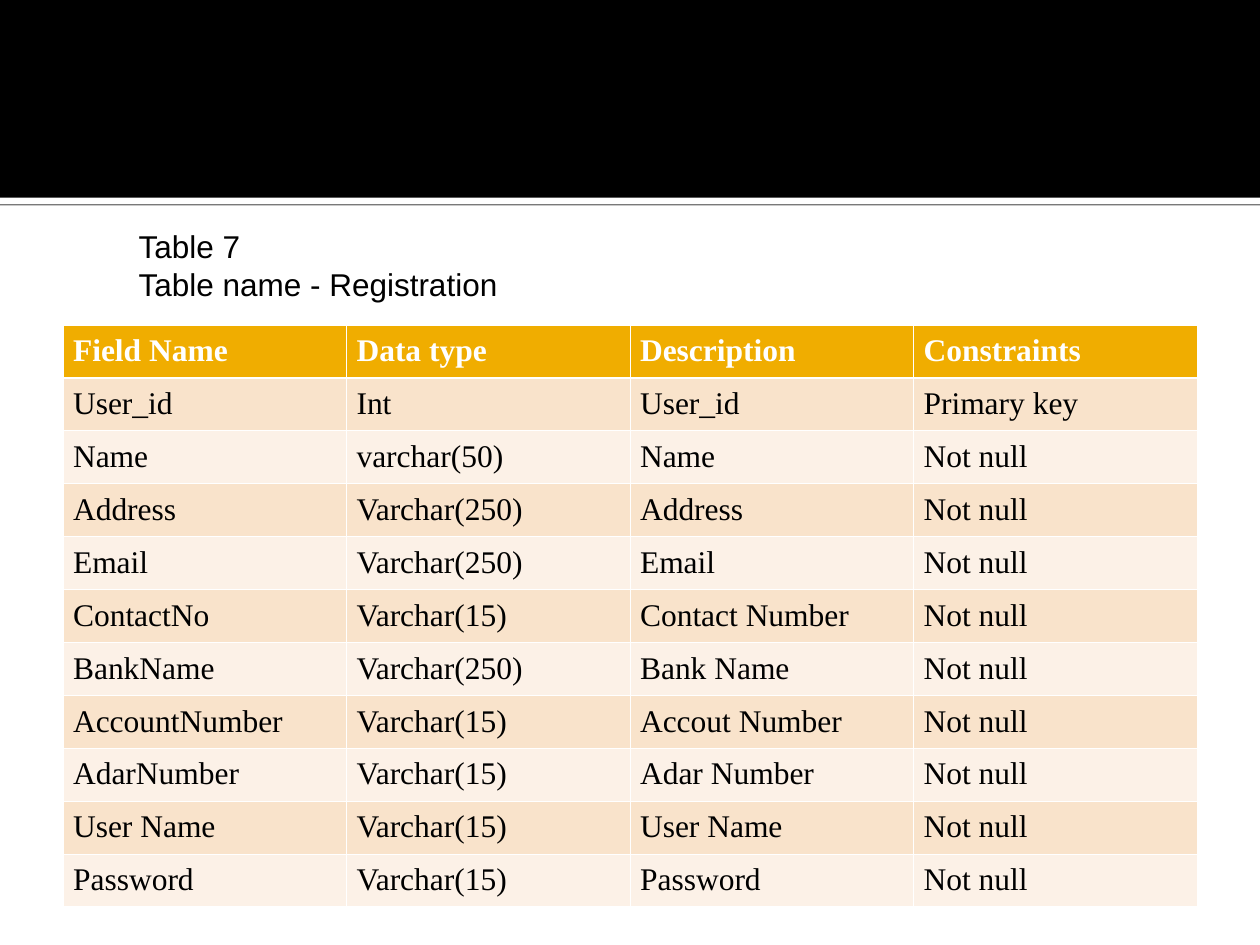
from dataclasses import dataclass

from lxml import etree
from pptx import Presentation
from pptx import util as u
from pptx.dml.color import RGBColor
from pptx.enum import shapes, text
from pptx.oxml import ns


@dataclass(frozen=True)
class Theme:
    """Colours, fonts, type size and line widths of the slide."""
    ink: str = "000000"
    paper: str = "FFFFFF"
    header: str = "F0AD00"
    bands: tuple = ("F9E3CB", "FCF1E7")
    caption_font: str = "Arial"
    table_font: str = "Times New Roman"
    size: float = 18
    thin: float = 0.45
    thick: float = 1.47


THEME = Theme()
WIDTH, HEIGHT = u.Inches(10), u.Inches(7.5)
BAND_HEIGHT = u.Inches(1.57)
ROW_HEIGHT = u.Inches(0.42)
CAPTION = ("Table 7", "Table name - Registration")
HEADINGS = ("Field Name", "Data type", "Description", "Constraints")
FIELDS = (
    ("User_id", "Int", "User_id", "Primary key"),
    ("Name", "varchar(50)", "Name", "Not null"),
    ("Address", "Varchar(250)", "Address", "Not null"),
    ("Email", "Varchar(250)", "Email", "Not null"),
    ("ContactNo", "Varchar(15)", "Contact Number", "Not null"),
    ("BankName", "Varchar(250)", "Bank Name", "Not null"),
    ("AccountNumber", "Varchar(15)", "Accout Number", "Not null"),
    ("AdarNumber", "Varchar(15)", "Adar Number", "Not null"),
    ("User Name", "Varchar(15)", "User Name", "Not null"),
    ("Password", "Varchar(15)", "Password", "Not null"),
)


def add_element(parent, tag, **attributes):
    """Append a DrawingML element and return it."""
    values = {key: str(value) for key, value in attributes.items()}
    return etree.SubElement(parent, ns.qn(tag), values)


def add_run(paragraph, words, font_name, color, bold=False):
    """Add one formatted run to a paragraph."""
    run = paragraph.add_run()
    run.text = words
    run.font.name, run.font.size, run.font.bold = font_name, u.Pt(THEME.size), bold
    run.font.color.rgb = RGBColor.from_string(color)


def add_band(slide, top, height, color):
    """Draw a plain band across the whole slide."""
    band = slide.shapes.add_shape(
        shapes.MSO_SHAPE.RECTANGLE, 0, top, WIDTH, height)
    band.shadow.inherit = False
    band.fill.solid()
    band.fill.fore_color.rgb = RGBColor.from_string(color)
    band.line.fill.background()
    return band


def add_lower_shadow(band):
    """Give a band a crisp shadow along its lower edge."""
    effects = band._element.spPr.find(ns.qn("a:effectLst"))
    shadow = add_element(effects, "a:outerShdw", blurRad=0, dist=u.Pt(0.8),
                         dir=90 * 60000, algn="tl", rotWithShape=0)
    color = add_element(shadow, "a:srgbClr", val=THEME.ink)
    add_element(color, "a:alpha", val=60000)


def fill_caption(caption):
    """Place the title placeholder and write the caption lines in it."""
    caption.left, caption.top = int(WIDTH * 0.1), u.Inches(1.75)
    caption.width, caption.height = u.Inches(3.17), u.Inches(0.7)
    frame = caption.text_frame
    frame.word_wrap = True
    frame.auto_size = text.MSO_AUTO_SIZE.NONE
    frame.vertical_anchor = text.MSO_ANCHOR.TOP
    for index, line in enumerate(CAPTION):
        paragraph = frame.add_paragraph() if index else frame.paragraphs[0]
        paragraph.alignment = text.PP_ALIGN.LEFT
        add_run(paragraph, line, THEME.caption_font, THEME.ink)


def set_borders(cell, top, bottom):
    """Draw the four cell borders with the given top and bottom widths."""
    properties = cell._tc.get_or_add_tcPr()
    widths = {"L": THEME.thin, "R": THEME.thin, "T": top, "B": bottom}
    for side, width in widths.items():
        line = add_element(properties, f"a:ln{side}", w=u.Pt(width))
        fill = add_element(line, "a:solidFill")
        add_element(fill, "a:srgbClr", val=THEME.paper)


def fill_cell(cell, words, row):
    """Write and format one cell according to its row."""
    is_header = row == 0
    set_borders(cell, THEME.thick if row == 1 else THEME.thin,
                THEME.thick if is_header else THEME.thin)
    cell.fill.solid()
    cell.fill.fore_color.rgb = RGBColor.from_string(
        THEME.header if is_header else THEME.bands[(row - 1) % 2])
    cell.margin_left = cell.margin_right = u.Inches(0.08)
    cell.margin_top = cell.margin_bottom = u.Inches(0.05)
    paragraph = cell.text_frame.paragraphs[0]
    paragraph.alignment = text.PP_ALIGN.JUSTIFY
    paragraph.line_spacing = 1.07
    add_run(paragraph, words, THEME.table_font,
            THEME.paper if is_header else THEME.ink, is_header)


def add_field_table(slide):
    """Add the table of registration fields."""
    rows = (HEADINGS, *FIELDS)
    table = slide.shapes.add_table(
        len(rows), len(HEADINGS), int(WIDTH * 0.05), u.Inches(2.58),
        int(WIDTH * 0.9), ROW_HEIGHT * len(rows)).table
    for row, entries in enumerate(rows):
        for column, words in enumerate(entries):
            fill_cell(table.cell(row, column), words, row)


def main():
    """Build and save the slide."""
    deck = Presentation()
    deck.slide_width, deck.slide_height = WIDTH, HEIGHT
    slide = deck.slides.add_slide(deck.slide_layouts.get_by_name("Title Only"))
    add_lower_shadow(add_band(slide, BAND_HEIGHT, u.Inches(0.05), THEME.paper))
    add_band(slide, 0, BAND_HEIGHT, THEME.ink)
    add_field_table(slide)
    fill_caption(slide.shapes.title)
    deck.save("out.pptx")


if __name__ == "__main__":
    main()
